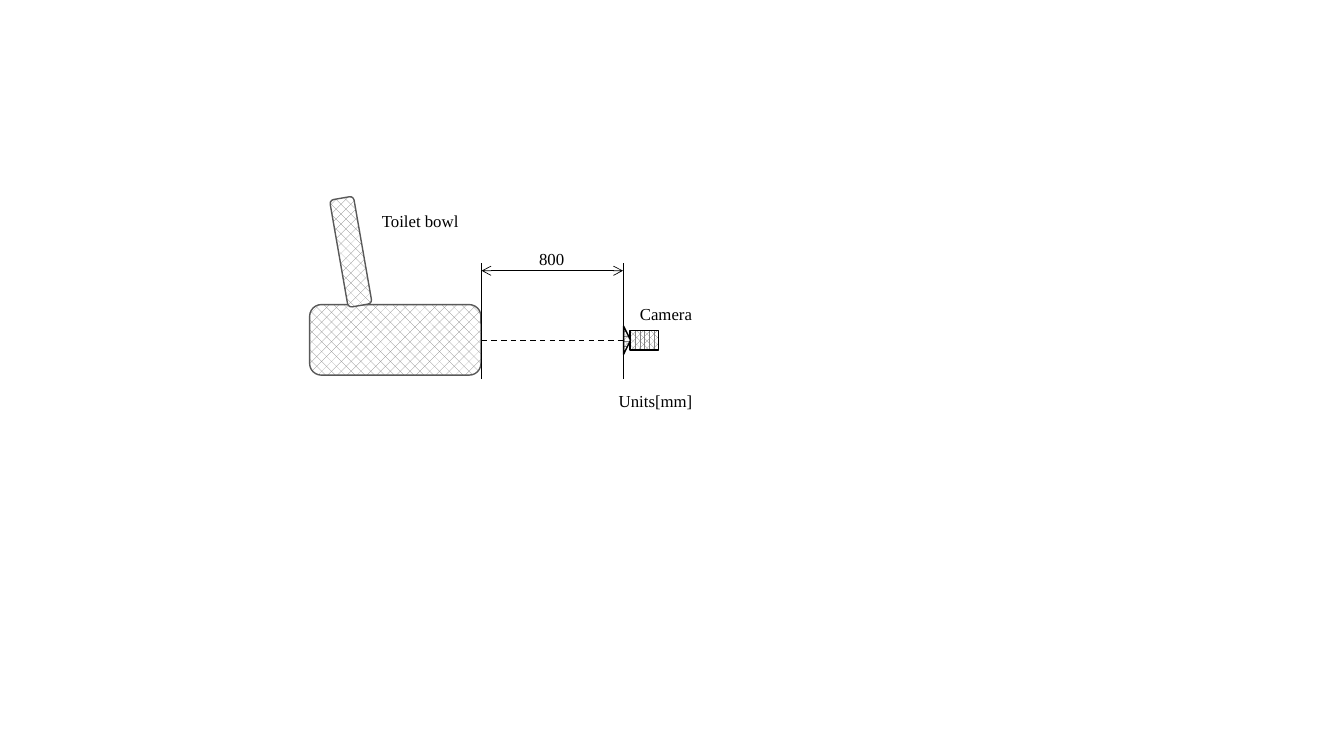
from lxml.etree import SubElement
from pptx import Presentation
from pptx.dml.color import RGBColor
from pptx.enum.dml import MSO_LINE, MSO_PATTERN
from pptx.enum.shapes import MSO_CONNECTOR, MSO_SHAPE as SHAPE
from pptx.enum.text import MSO_AUTO_SIZE
from pptx.oxml.ns import qn
from pptx.util import Pt

BLACK = RGBColor(0x00, 0x00, 0x00)
WHITE = RGBColor(0xFF, 0xFF, 0xFF)
GRAY = RGBColor(0x80, 0x80, 0x80)
DARK_GRAY = RGBColor(0x59, 0x59, 0x59)

LABEL_FONT = {"name": "Times New Roman", "size": Pt(12)}

# Shared positions, in points
BOWL_FRONT, LENS_FRONT = 344, 445
MARK_TOP, MARK_BOTTOM = 188, 270.9
DIMENSION_Y, SIGHT_Y = 193.4, 243.3


def add_part(shapes, kind, box, pattern, outline, rotation=0):
    """Add a patterned, outlined part of the drawing."""
    sp = shapes.add_shape(kind, *map(Pt, box))
    sp.shadow.inherit = False
    sp.rotation = rotation
    sp.fill.patterned()
    for key, value in {"pattern": pattern}.items():
        setattr(sp.fill, key, value)
    sp.fill.fore_color.rgb = GRAY
    sp.fill.back_color.rgb = WHITE
    sp.line.color.rgb = outline
    sp.line.width = Pt(1)


def add_line(shapes, start, end, width=0.5, dash=None, arrows=False):
    """Add a straight black line, with open arrowheads if wanted."""
    cxn = shapes.add_connector(MSO_CONNECTOR.STRAIGHT, *map(Pt, start + end))
    cxn.line.color.rgb = BLACK
    for key, value in {"width": Pt(width), "dash_style": dash}.items():
        setattr(cxn.line, key, value)
    if arrows:
        ln = cxn.line._get_or_add_ln()
        for tag in ("a:headEnd", "a:tailEnd"):
            SubElement(ln, qn(tag), type="arrow")
    SubElement(cxn._element.spPr, qn("a:effectLst"))


def add_label(shapes, text, box):
    """Add a one-line label."""
    tf = shapes.add_textbox(*map(Pt, box)).text_frame
    tf.word_wrap = False
    tf.auto_size = MSO_AUTO_SIZE.SHAPE_TO_FIT_TEXT
    r = tf.paragraphs[0].add_run()
    r.text = text
    for key, value in LABEL_FONT.items():
        setattr(r.font, key, value)
    r.font.color.rgb = BLACK


def main():
    prs = Presentation()
    prs.slide_width, prs.slide_height = Pt(960), Pt(540)
    slide = prs.slides.add_slide(prs.slide_layouts[6])
    shapes = slide.shapes.add_group_shape().shapes

    # Toilet bowl
    light, dense = MSO_PATTERN.PERCENT_30, MSO_PATTERN.PERCENT_70
    add_part(shapes, SHAPE.ROUNDED_RECTANGLE, (221.2, 217.6, 122.4, 50.4),
             light, DARK_GRAY)
    add_label(shapes, "Toilet bowl", (265.7, 146.9, 69.8, 21.6))

    # Camera body and lens
    add_part(shapes, SHAPE.RECTANGLE, (450, 236.2, 20.2, 13.7), dense, BLACK)
    add_part(shapes, SHAPE.ISOSCELES_TRIANGLE, (437.8, 240.5, 20.2, 5),
             dense, BLACK, rotation=90)

    # Distance between bowl and camera
    for x in (BOWL_FRONT, LENS_FRONT):
        add_line(shapes, (x, MARK_BOTTOM), (x, MARK_TOP))
    add_line(shapes, (BOWL_FRONT, DIMENSION_Y), (LENS_FRONT, DIMENSION_Y),
             arrows=True)
    add_label(shapes, "800", (378, 174.2, 32.4, 21.6))
    add_label(shapes, "Camera", (450, 213.1, 52.6, 21.6))
    add_label(shapes, "Units[mm]", (434.9, 275.8, 67.7, 21.6))

    # Line of sight
    add_line(shapes, (BOWL_FRONT, SIGHT_Y), (LENS_FRONT, SIGHT_Y),
             width=1, dash=MSO_LINE.DASH)

    # Raised lid
    add_part(shapes, SHAPE.ROUNDED_RECTANGLE, (211.7, 171.2, 77.8, 17.3),
             light, DARK_GRAY, rotation=260.1)

    prs.save("out.pptx")


if __name__ == "__main__":
    main()
